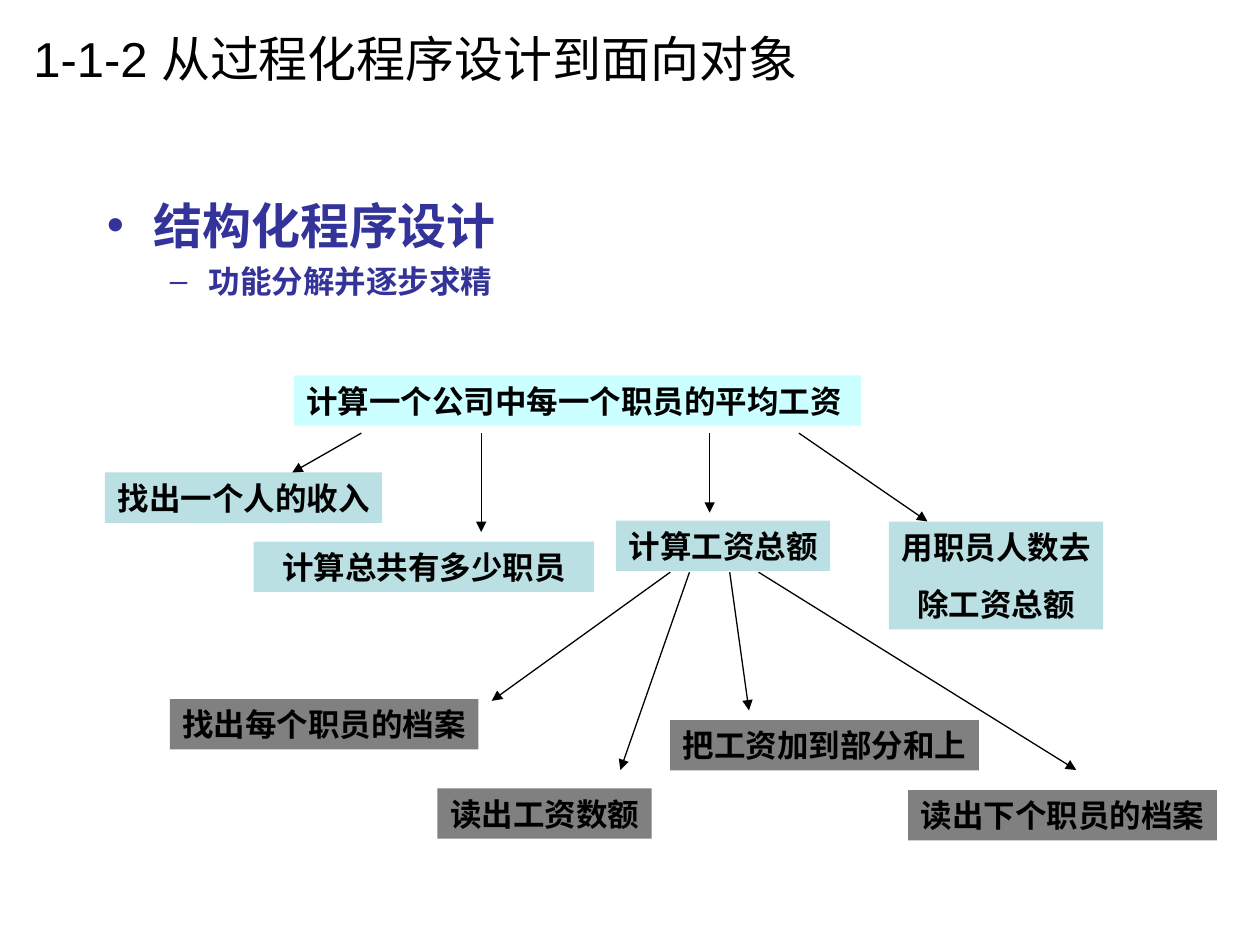
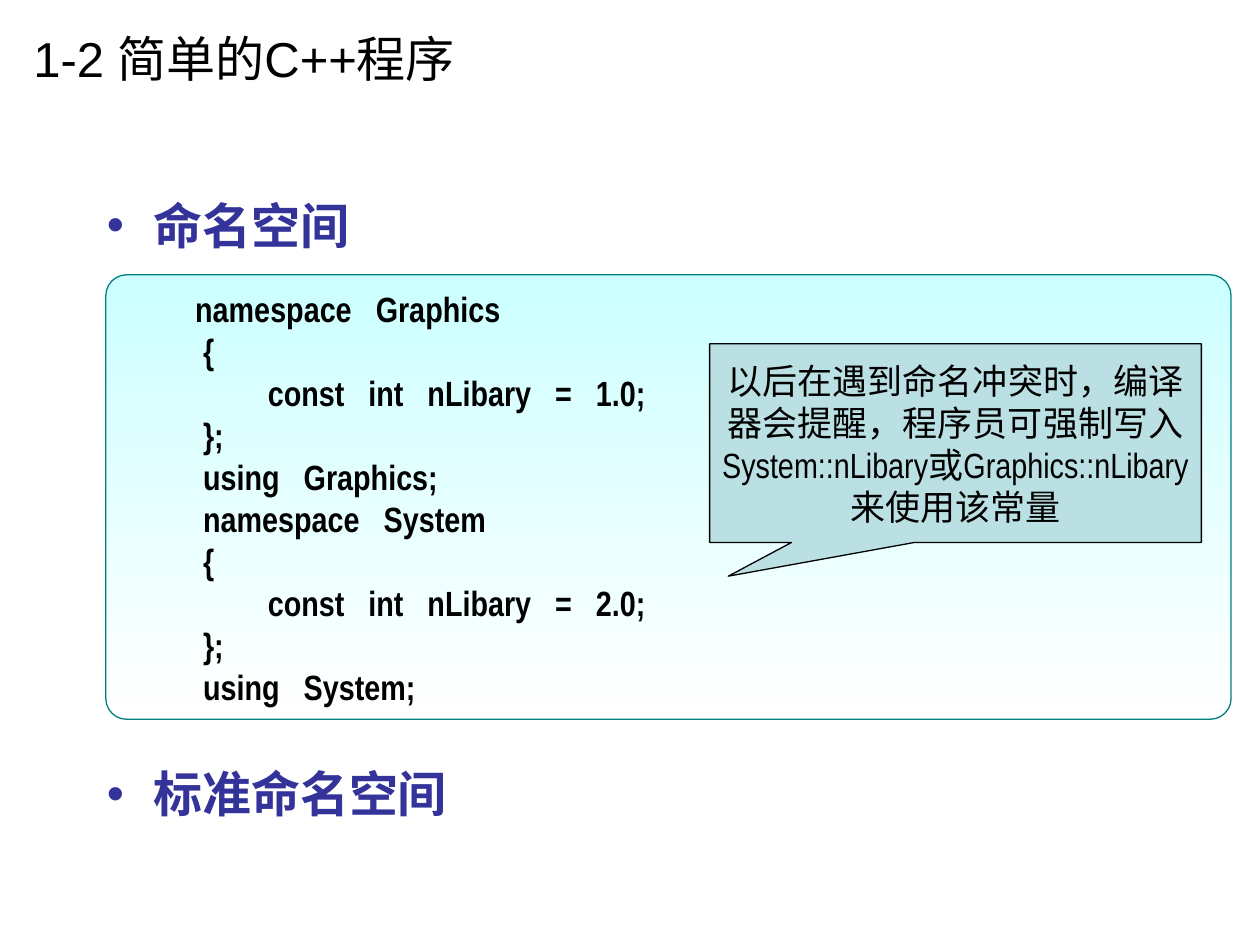
import lxml.etree
import pptx
import pptx.dml.color
import pptx.enum.shapes
import pptx.enum.text
import pptx.oxml.ns
import pptx.util

Pt = pptx.util.Pt
Shape = pptx.enum.shapes.MSO_SHAPE
Align = pptx.enum.text.PP_ALIGN
Anchor = pptx.enum.text.MSO_ANCHOR

COLORS = {
    "text": "000000",
    "point": "333399",
    "root": "CCFFFF",
    "step": "BBE0E3",
    "detail": "808080",
    "code_top": "CCFFFF",
    "code_bottom": "FFFFFF",
    "code_line": "008080",
}
WIDE = "Arial"
NARROW = "Arial Narrow"
POINT_LEFT, POINT_TOP, POINT_WIDTH = 54, 108, 612

# Per level: size, left margin, hanging indent, space before, bullet
POINT_LEVELS = [(28, 26.6, 26.6, 7, "•"), (18, 58.3, 22.3, 4.5, "–")]

# Text lines, left, top, fill; a width only where it does not follow the text
TASKS = [
    ("计算一个公司中每一个职员的平均工资", 108, 0, "root", 324),
    ("找出一个人的收入", 0, 55.5, "step", None),
    ("计算总共有多少职员", 85, 95, "step", 194.4),
    ("计算工资总额", 292, 83, "step", None),
    ("用职员人数去\n除工资总额", 448, 83.5, "step", None),
    ("找出每个职员的档案", 37, 185, "detail", None),
    ("读出工资数额", 190, 236, "detail", None),
    ("把工资加到部分和上", 323, 197, "detail", None),
    ("读出下个职员的档案", 459, 237, "detail", None),
]
# Height where a row of arrows starts, then start x, end x, end y
ARROW_ROWS = [
    (33, [(146.5, 107, 55.5), (215, 215, 89.5), (345.5, 345.5, 78.5), (396.5, 470, 83.5)]),
    (112.5, [(323, 221, 186), (334, 294.5, 225.5), (357, 368, 191.5), (373.5, 555, 225.5)]),
]
# Indent and text
CODE_LINES = [
    (40.5, "namespace Graphics"),
    (45, "{"),
    (82, "const int nLibary = 1.0;"),
    (45, "};"),
    (45, "using Graphics;"),
    (45, "namespace System"),
    (45, "{"),
    (82, "const int nLibary = 2.0;"),
    (45, "};"),
    (45, "using System;"),
]


def color(name):
    return pptx.dml.color.RGBColor.from_string(COLORS[name])


def add_xml(parent, tag, **attributes):
    return lxml.etree.SubElement(parent, pptx.oxml.ns.qn(tag), attributes)


def style_runs(para, size, font, bold=False, color_name="text"):
    for span in para.runs:
        span.font.size = Pt(size)
        span.font.name = font
        span.font.bold = bold
        span.font.color.rgb = color(color_name)


def add_text_box(page, left, top, width, height):
    box = page.shapes.add_textbox(Pt(left), Pt(top), Pt(width), Pt(height))
    box.text_frame.word_wrap = True
    return box.text_frame


def add_box(page, kind, left, top, width, height, fill=None, line=None):
    box = page.shapes.add_shape(kind, Pt(left), Pt(top), Pt(width), Pt(height))
    box.shadow.inherit = False
    if fill:
        box.fill.solid()
        box.fill.fore_color.rgb = color(fill)
    if line:
        box.line.color.rgb = color(line)
        box.line.width = Pt(0.75)
    else:
        box.line.fill.background()
    return box


def add_title(page, text):
    frame = add_text_box(page, 12, 0, 540, 66)
    frame.vertical_anchor = Anchor.MIDDLE
    frame.text = text
    style_runs(frame.paragraphs[0], 28, WIDE)


def add_points(page, top, points):
    """Bulleted text, given as (level, text) pairs."""
    frame = add_text_box(page, POINT_LEFT, top, POINT_WIDTH, 40 * len(points))
    frame.text = "\n".join(text for _, text in points)
    for para, (level, _) in zip(frame.paragraphs, points):
        size, margin, hanging, before, mark = POINT_LEVELS[level]
        para.level = level
        para.space_before = Pt(before)
        style_runs(para, size, WIDE, True, "point")
        settings = para._p.get_or_add_pPr()
        settings.set("marL", str(Pt(margin)))
        settings.set("indent", str(-Pt(hanging)))
        add_xml(add_xml(settings, "a:buClr"), "a:srgbClr", val=COLORS["point"])
        add_xml(settings, "a:buFont", typeface=WIDE)
        add_xml(settings, "a:buChar", char=mark)


def add_task(page, left, top, text, fill, width):
    """A box as wide and high as its 18 pt text, unless a width is given."""
    lines = text.split("\n")
    width = width or 18 * max(map(len, lines)) + 14.4
    height = 28.8 + 32.8 * (len(lines) - 1)
    frame = add_box(page, Shape.RECTANGLE, left, top, width, height, fill).text_frame
    frame.word_wrap = False
    frame.vertical_anchor = Anchor.TOP
    frame.text = text
    for para in frame.paragraphs:
        para.alignment = Align.LEFT if fill == "root" else Align.CENTER
        para.space_before = Pt(0 if fill == "root" else 11.2)
        style_runs(para, 18, NARROW, True)


def add_arrow(page, start_x, start_y, end_x, end_y):
    arrow = page.shapes.add_connector(
        pptx.enum.shapes.MSO_CONNECTOR.STRAIGHT,
        Pt(start_x), Pt(start_y), Pt(end_x), Pt(end_y))
    arrow.line.color.rgb = color("text")
    arrow.line.width = Pt(0.75)
    add_xml(arrow.line._get_or_add_ln(), "a:tailEnd", type="triangle")
    add_xml(arrow._element.spPr, "a:effectLst")


def add_task_tree(page, left, top):
    for text, x, y, fill, width in TASKS:
        add_task(page, left + x, top + y, text, fill, width)
    for start_y, arrows in ARROW_ROWS:
        for start_x, end_x, end_y in arrows:
            add_arrow(page, left + start_x, top + start_y, left + end_x, top + end_y)


def add_code_panel(page, left, top, width, height):
    panel = add_box(page, Shape.ROUNDED_RECTANGLE, left, top, width, height, line="code_line")
    panel.adjustments[0] = 0.047
    panel.fill.gradient()
    panel.fill.gradient_angle = 270
    for stop, name in zip(panel.fill.gradient_stops, ("code_top", "code_bottom")):
        stop.color.rgb = color(name)
    frame = panel.text_frame
    frame.vertical_anchor = Anchor.TOP
    for number, (indent, code) in enumerate(CODE_LINES):
        para = frame.add_paragraph() if number else frame.paragraphs[0]
        para.alignment = Align.LEFT
        para._p.get_or_add_pPr().set("marL", str(Pt(indent)))
        for position, word in enumerate(code.split(" ")):
            if position:
                gap = para.add_run()
                gap.text = " "
                gap.font._element.set("spc", "910")  # widens the word gap
            para.add_run().text = word
        style_runs(para, 20, NARROW, True)


def add_callout(page, left, top, width, height, text):
    callout = add_box(page, Shape.RECTANGULAR_CALLOUT, left, top, width, height, "step", "text")
    callout.adjustments[0] = -0.462
    callout.adjustments[1] = 0.67
    frame = callout.text_frame
    frame.word_wrap = True
    frame.vertical_anchor = Anchor.MIDDLE
    frame.text = text
    frame.paragraphs[0].alignment = Align.CENTER
    frame.paragraphs[0].space_before = Pt(12.5)
    style_runs(frame.paragraphs[0], 20, NARROW)


def add_page(deck, title):
    page = deck.slides.add_slide(deck.slide_layouts[6])
    add_title(page, title)
    return page


def build_decomposition(deck):
    page = add_page(deck, "1-1-2 从过程化程序设计到面向对象")
    add_points(page, POINT_TOP, [(0, "结构化程序设计"), (1, "功能分解并逐步求精")])
    add_task_tree(page, 60, 214.5)


def build_namespaces(deck):
    page = add_page(deck, "1-2 简单的C++程序")
    add_points(page, POINT_TOP, [(0, "命名空间")])
    add_points(page, POINT_TOP + 325, [(0, "标准命名空间")])
    add_code_panel(page, 60.5, 157, 643, 254)
    add_callout(
        page, 405.5, 196.5, 281, 113.5,
        "以后在遇到命名冲突时，编译器会提醒，程序员可强制写入"
        "System::nLibary或Graphics::nLibary来使用该常量")


def main():
    deck = pptx.Presentation()
    deck.slide_width, deck.slide_height = Pt(720), Pt(540)
    build_decomposition(deck)
    build_namespaces(deck)
    deck.save("out.pptx")


if __name__ == "__main__":
    main()
